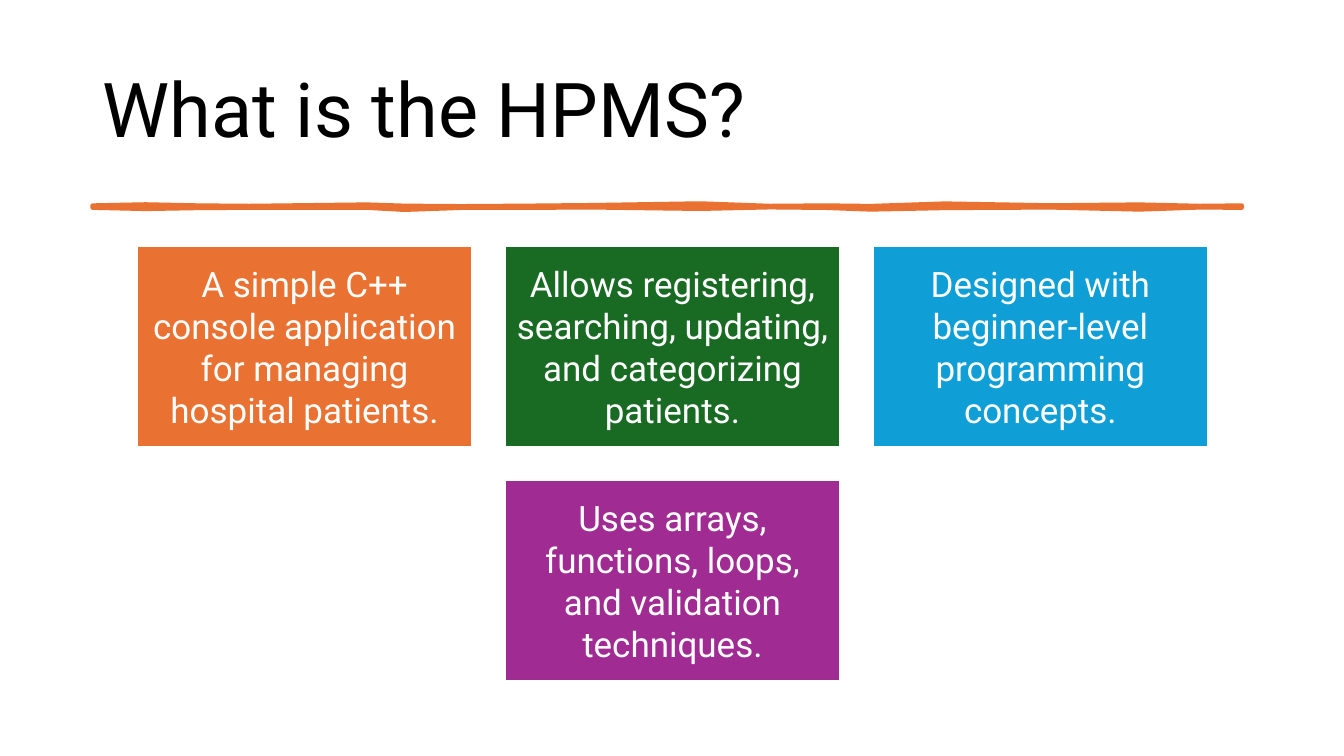
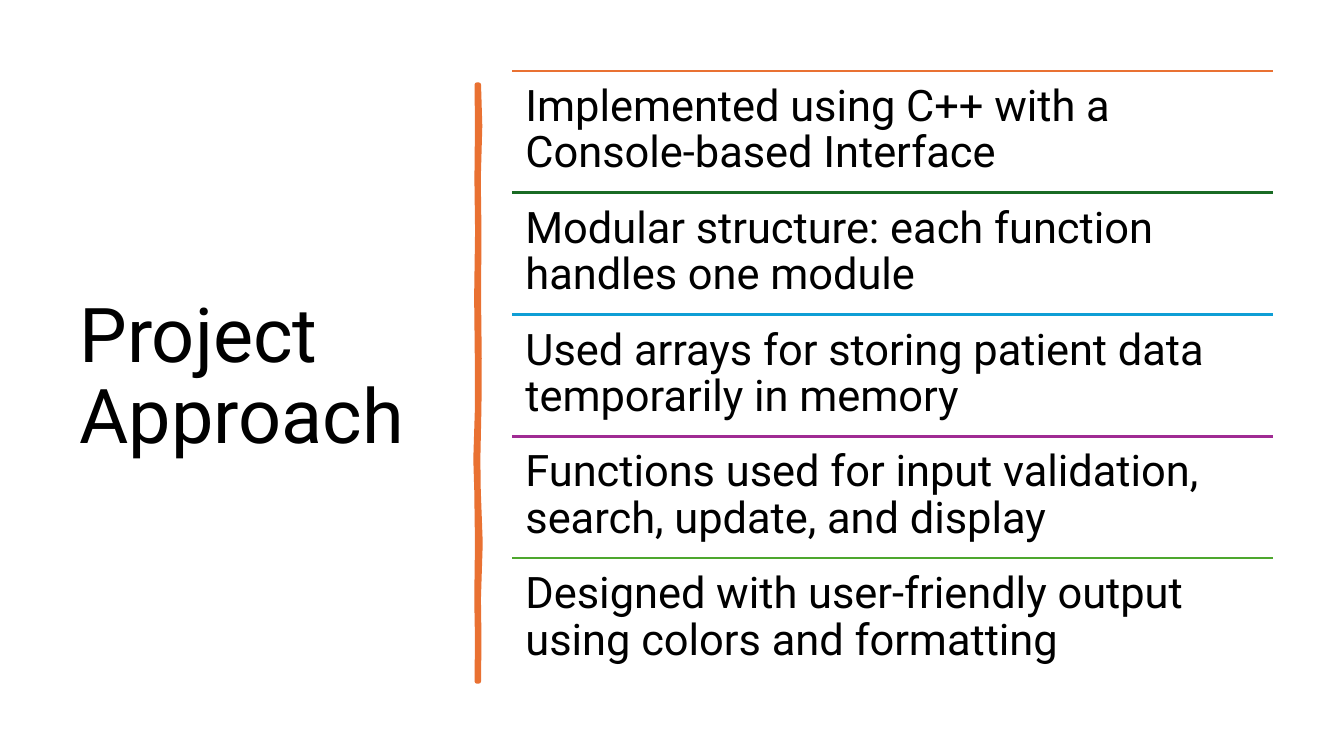
from dataclasses import dataclass

from pptx import Presentation
from pptx import util as u
from pptx.dml.color import RGBColor
from pptx.enum import shapes, text
from pptx.oxml.xmlchemy import OxmlElement

FONT = "Roboto"
BLACK, WHITE = "000000", "FFFFFF"
ORANGE, GREEN, BLUE, PURPLE, LIME = "E97132", "196B24", "0F9ED5", "A02B93", "4EA72E"


@dataclass(frozen=True)
class Box:
    left: float
    top: float
    width: float
    height: float

    def lengths(self) -> list:
        return [u.Pt(v) for v in (self.left, self.top, self.width, self.height)]


@dataclass(frozen=True)
class TextStyle:
    size: float
    color: str
    align: text.PP_ALIGN
    anchor: text.MSO_ANCHOR
    spacing: float
    inset_x: float
    inset_y: float


@dataclass(frozen=True)
class Card:
    text: str
    color: str
    column: int
    row: int


@dataclass(frozen=True)
class Item:
    text: str
    color: str


@dataclass(frozen=True)
class Wave:
    along: float
    before: float
    after: float


TITLE = TextStyle(54, BLACK, text.PP_ALIGN.LEFT, text.MSO_ANCHOR.MIDDLE, 0.9, 7.2, 3.6)
CARD = TextStyle(25, WHITE, text.PP_ALIGN.CENTER, text.MSO_ANCHOR.MIDDLE, 1.0, 7, 7)
ITEM = TextStyle(31, BLACK, text.PP_ALIGN.LEFT, text.MSO_ANCHOR.TOP, 0.9, 9.3, 9.3)

CARDS = [
    Card("A simple C++ console application for managing hospital patients.", ORANGE, 0, 0),
    Card("Allows registering, searching, updating, and categorizing patients.", GREEN, 1, 0),
    Card("Designed with beginner-level programming concepts.", BLUE, 2, 0),
    Card("Uses arrays, functions, loops, and validation techniques.", PURPLE, 1, 1),
]

ITEMS = [
    Item("Implemented using C++ with a Console-based Interface", ORANGE),
    Item("Modular structure: each function handles one module", GREEN),
    Item("Used arrays for storing patient data temporarily in memory", BLUE),
    Item("Functions used for input validation, search, update, and display", PURPLE),
    Item("Designed with user-friendly output using colors and formatting", LIME),
]

RULE = [
    Wave(66.2, 0.7, 0.7), Wave(104, 1.5, 1.6), Wave(142, 0.7, 0.9), Wave(178, 0.4, 0.7),
    Wave(262, 1.4, 0.7), Wave(289, 0.5, 2.2), Wave(329, 0.2, 0.8), Wave(375, 0.5, 0.7),
    Wave(425, 1.0, 0.5), Wave(500, 2.2, 1.5), Wave(550, 0.4, 0.4), Wave(590, 0.7, 0.8),
    Wave(622, 0.3, 2.0), Wave(675, 2.1, 0.9), Wave(750, 0.8, 0.5), Wave(814, 1.4, 2.0),
    Wave(857, 0.4, 0.5), Wave(887, 0.7, 0.7),
]

DIVIDER = [
    Wave(60.5, 0.7, 0.7), Wave(90, 0.4, 1.6), Wave(128, 0.8, 0.5), Wave(165, 0.3, 1.0),
    Wave(212, 1.0, 0.7), Wave(256, 0.5, 1.2), Wave(290, 0.4, 1.0), Wave(328, 1.6, 0.2),
    Wave(350, 0.9, 0.5), Wave(388, 0.4, 1.9), Wave(428, 0.9, 0.6), Wave(456, 0.4, 1.0),
    Wave(486.7, 0.7, 0.7),
]


def rgb(color: str) -> RGBColor:
    return RGBColor.from_string(color)


def write(sp, content: str, style: TextStyle) -> None:
    tf = sp.text_frame
    tf.text = content
    tf.word_wrap = True
    tf.vertical_anchor = style.anchor
    tf.margin_left = tf.margin_right = u.Pt(style.inset_x)
    tf.margin_top = tf.margin_bottom = u.Pt(style.inset_y)
    p = tf.paragraphs[0]
    p.alignment = style.align
    p.line_spacing = style.spacing
    font = p.runs[0].font
    font.name = FONT
    font.size = u.Pt(style.size)
    font.color.rgb = rgb(style.color)


def add_text(s, box: Box, content: str, style: TextStyle) -> None:
    write(s.shapes.add_textbox(*box.lengths()), content, style)


def paint(sp, fill: str, line: str, width: float) -> None:
    sp.shadow.inherit = False
    sp.fill.solid()
    sp.fill.fore_color.rgb = rgb(fill)
    sp.line.color.rgb = rgb(line)
    sp.line.width = u.Pt(width)


def add_brush(s, waves: list[Wave], center: float, vertical: bool = False) -> None:
    edge = [(w.along, center - w.before) for w in waves]
    edge += [(w.along, center + w.after) for w in reversed(waves)]
    if vertical:
        edge = [(across, along) for along, across in edge]
    points = [(u.Pt(x), u.Pt(y)) for x, y in edge]
    builder = s.shapes.build_freeform(*points[0])
    builder.add_line_segments(points[1:], close=True)
    sp = builder.convert_to_shape()
    paint(sp, ORANGE, ORANGE, 3.25)
    sp.line._get_or_add_ln().append(OxmlElement("a:round"))


def add_card(s, card: Card) -> None:
    box = Box(98 + 262.8 * card.column, 175.7 + 167.2 * card.row, 239, 143.4)
    sp = s.shapes.add_shape(shapes.MSO_SHAPE.RECTANGLE, *box.lengths())
    paint(sp, card.color, WHITE, 1.5)
    write(sp, card.text, CARD)


def add_item(s, index: int, item: Item) -> None:
    box = Box(366, 50.4 + 87.12 * index, 543.5, 87.12)
    left, top, width, _ = box.lengths()
    line = s.shapes.add_connector(shapes.MSO_CONNECTOR.STRAIGHT, left, top, left + width, top)
    line.line.color.rgb = rgb(item.color)
    line.line.width = u.Pt(1.5)
    line._element.spPr.append(OxmlElement("a:effectLst"))
    add_text(s, box, item.text, ITEM)


def add_slide(prs, title: str, box: Box):
    s = prs.slides.add_slide(prs.slide_layouts[6])
    add_text(s, box, title, TITLE)
    return s


def main() -> None:
    prs = Presentation()
    prs.slide_width, prs.slide_height = u.Pt(960), u.Pt(540)

    s = add_slide(prs, "What is the HPMS?", Box(66.2, 28.8, 828, 104.4))
    add_brush(s, RULE, 147.6)
    for card in CARDS:
        add_card(s, card)

    s = add_slide(prs, "Project Approach", Box(49.7, 50.4, 269.3, 440))
    add_brush(s, DIVIDER, 341.3, vertical=True)
    for index, item in enumerate(ITEMS):
        add_item(s, index, item)

    prs.save("out.pptx")


if __name__ == "__main__":
    main()
